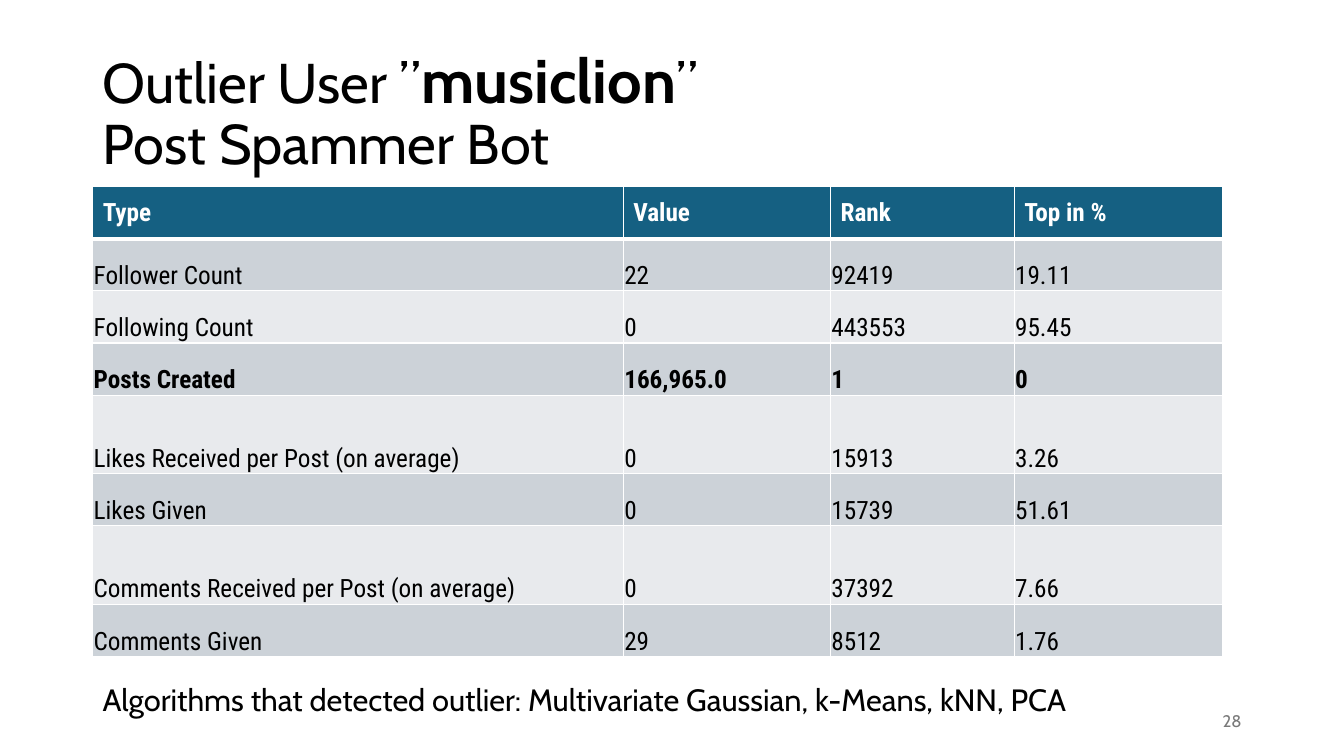
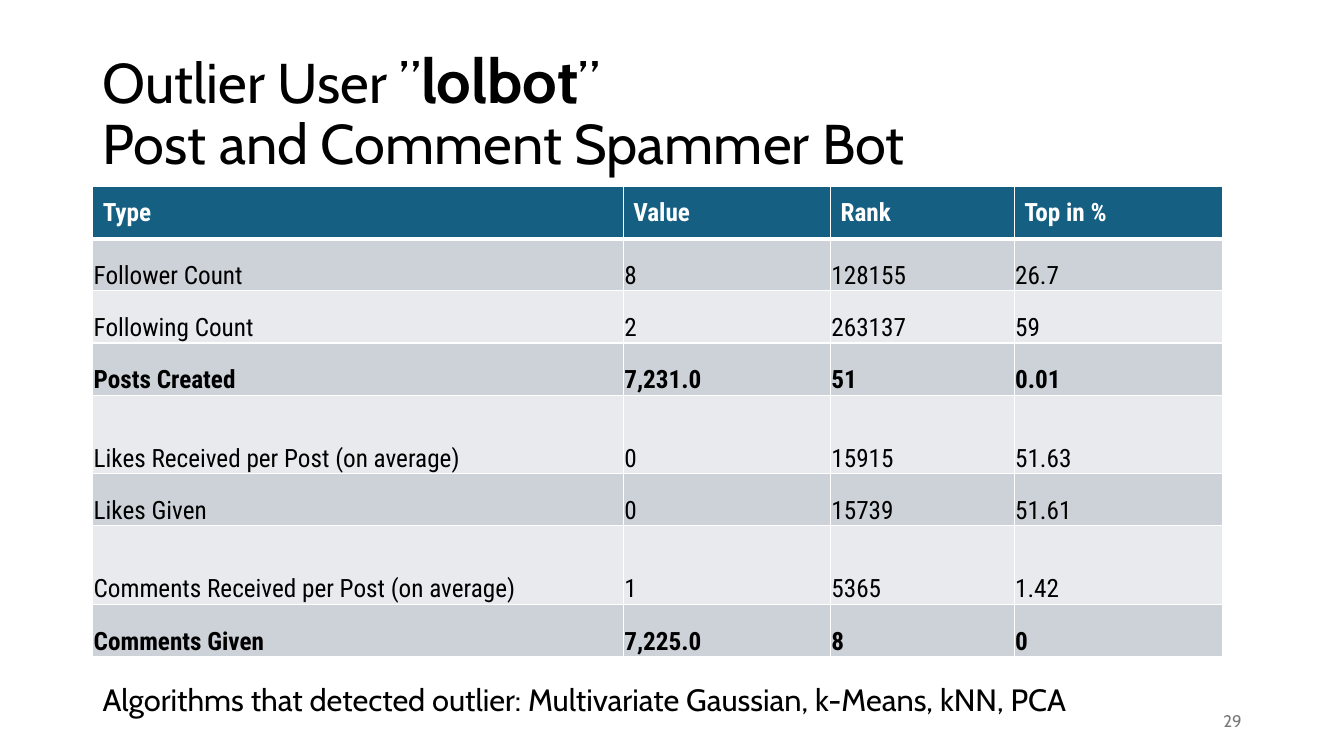
import pptx
import pptx.dml.color
import pptx.enum.text
import pptx.oxml
import pptx.oxml.ns
import pptx.util
from pptx.util import Pt

COLORS = {"text": "000000", "header": "156082", "odd": "CCD2D8",
          "even": "E8EAED", "white": "FFFFFF", "number": "797979"}
TITLE_FONT, TABLE_FONT = "Cabin", "Roboto Condensed"
ANCHOR = pptx.enum.text.MSO_ANCHOR
ALIGN = pptx.enum.text.PP_ALIGN

LEFT = 66.24
COLUMN_WIDTHS = [379, 148, 131.2, 148.8]
ROW_HEIGHTS = [37.3, 37.3, 37.3, 37.3, 56, 37.3, 56, 37.3]
HEADERS = ["Type", "Value", "Rank", "Top in %"]
METRICS = ["Follower Count", "Following Count", "Posts Created",
           "Likes Received per Post (on average)", "Likes Given",
           "Comments Received per Post (on average)", "Comments Given"]
ALGORITHMS = "Algorithms that detected outlier: Multivariate Gaussian, k-Means, kNN, PCA"

USERS = [
    {"number": 28, "name": "musiclion", "kind": "Post Spammer Bot",
     "highlights": ["Posts Created"],
     "values": [("22", "92419", "19.11"), ("0", "443553", "95.45"),
                ("166,965.0", "1", "0"), ("0", "15913", "3.26"),
                ("0", "15739", "51.61"), ("0", "37392", "7.66"),
                ("29", "8512", "1.76")]},
    {"number": 29, "name": "lolbot", "kind": "Post and Comment Spammer Bot",
     "highlights": ["Posts Created", "Comments Given"],
     "values": [("8", "128155", "26.7"), ("2", "263137", "59"),
                ("7,231.0", "51", "0.01"), ("0", "15915", "51.63"),
                ("0", "15739", "51.61"), ("1", "5365", "1.42"),
                ("7,225.0", "8", "0")]},
]


def rgb(name):
    return pptx.dml.color.RGBColor.from_string(COLORS[name])


def style(r, size, font, color="text", bold=False):
    r.font.size = Pt(size)
    r.font.name = font
    r.font.bold = bold
    r.font.color.rgb = rgb(color)


def add_text(s, box, anchor, wrap=True):
    tf = s.shapes.add_textbox(*map(Pt, box)).text_frame
    tf.word_wrap = wrap
    tf.vertical_anchor = anchor
    return tf


def add_title(s, name, kind):
    tf = add_text(s, (LEFT, 28.8, 828, 104.4), ANCHOR.MIDDLE)
    p = tf.paragraphs[0]
    p.line_spacing = 0.9
    for text, size, bold in [("Outlier User ”", 40, False), (name, 44, True), ("”", 40, False)]:
        r = p.add_run()
        r.text = text
        style(r, size, TITLE_FONT, bold=bold)
    p.add_line_break()
    r = p.add_run()
    r.text = kind
    style(r, 40, TITLE_FONT)


def add_line(s, box, text, size, color, anchor, align, wrap):
    tf = add_text(s, box, anchor, wrap)
    tf.text = text
    p = tf.paragraphs[0]
    p.alignment = align
    style(p.runs[0], size, TITLE_FONT, color)


def set_borders(cell, top, bottom):
    tc_pr = cell._tc.get_or_add_tcPr()
    for side, width in [("L", 1), ("R", 1), ("T", top), ("B", bottom)]:
        tc_pr.append(pptx.oxml.parse_xml(
            f'<a:ln{side} {pptx.oxml.ns.nsdecls("a")} w="{Pt(width)}"><a:solidFill>'
            f'<a:srgbClr val="{COLORS["white"]}"/></a:solidFill></a:ln{side}>'))


def fill_cell(cell, text, row, bold):
    header = row == 0
    cell.text = text
    style(cell.text_frame.paragraphs[0].runs[0], 18, TABLE_FONT,
          "white" if header else "text", bold)
    cell.vertical_anchor = ANCHOR.MIDDLE if header else ANCHOR.BOTTOM
    if not header:
        cell.margin_left = cell.margin_right = cell.margin_top = Pt(0.7)
        cell.margin_bottom = Pt(0)
    set_borders(cell, 3 if row == 1 else 1, 3 if header else 1)
    cell.fill.solid()
    cell.fill.fore_color.rgb = rgb("header" if header else "odd" if row % 2 else "even")


def add_metrics(s, user):
    rows = [HEADERS] + [[metric, *values] for metric, values in zip(METRICS, user["values"])]
    table = s.shapes.add_table(len(rows), len(HEADERS), Pt(LEFT), Pt(133.2),
                               Pt(sum(COLUMN_WIDTHS)), Pt(sum(ROW_HEIGHTS))).table
    for column, width in zip(table.columns, COLUMN_WIDTHS):
        column.width = Pt(width)
    for i, (cells, height) in enumerate(zip(rows, ROW_HEIGHTS)):
        table.rows[i].height = Pt(height)
        bold = i == 0 or cells[0] in user["highlights"]
        for j, text in enumerate(cells):
            fill_cell(table.cell(i, j), text, i, bold)


def main():
    prs = pptx.Presentation()
    prs.slide_width, prs.slide_height = Pt(960), Pt(540)
    for user in USERS:
        s = prs.slides.add_slide(prs.slide_layouts[6])
        add_title(s, user["name"], user["kind"])
        add_metrics(s, user)
        add_line(s, (678, 500.5, 216, 28.75), str(user["number"]), 12, "number",
                 ANCHOR.MIDDLE, ALIGN.RIGHT, True)
        add_line(s, (LEFT, 482.4, 743, 33.9), ALGORITHMS, 22, "text",
                 ANCHOR.TOP, ALIGN.LEFT, False)
    prs.save("out.pptx")


if __name__ == "__main__":
    main()
